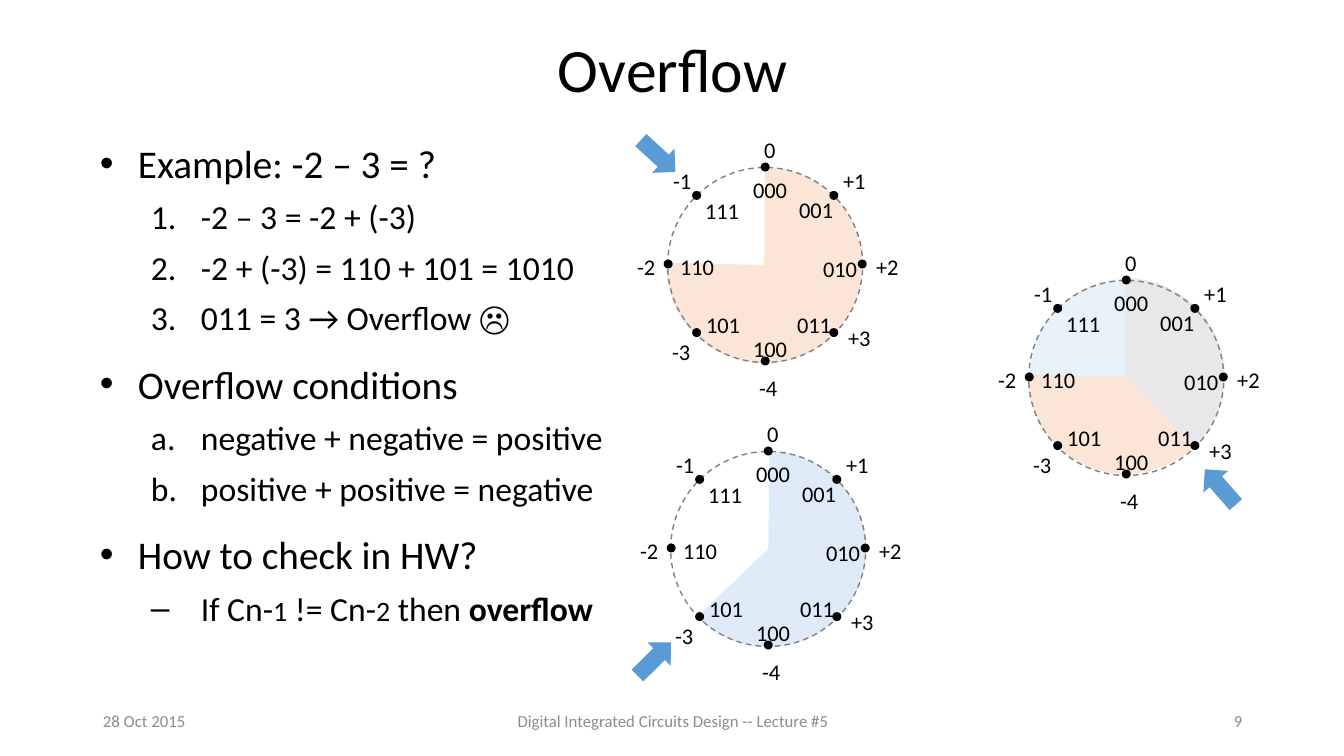
import math
from lxml import etree
from pptx import Presentation
from pptx.dml.color import RGBColor
from pptx.enum.dml import MSO_LINE
from pptx.enum.shapes import MSO_SHAPE
from pptx.enum.text import MSO_ANCHOR, MSO_AUTO_SIZE, PP_ALIGN
from pptx.oxml.ns import qn
from pptx.util import Emu, Inches, Pt

PIE, OVAL, ARROW = MSO_SHAPE.PIE, MSO_SHAPE.OVAL, MSO_SHAPE.DOWN_ARROW
DASH = MSO_LINE.DASH
MIDDLE = MSO_ANCHOR.MIDDLE
GROW, FIXED = MSO_AUTO_SIZE.SHAPE_TO_FIT_TEXT, MSO_AUTO_SIZE.NONE
LEFT, CENTER, RIGHT = PP_ALIGN.LEFT, PP_ALIGN.CENTER, PP_ALIGN.RIGHT

BLACK = RGBColor(0, 0, 0)
GRAY = RGBColor(0x8C, 0x8C, 0x8C)
RIM = RGBColor(0x80, 0x80, 0x80)
PEACH = RGBColor(0xFB, 0xE5, 0xD6)
SKY = RGBColor(0xDE, 0xEB, 0xF7)
BLUE = RGBColor(0x5B, 0x9B, 0xD5)

FONT = "Calibri"
SCALE = 914400 / 100.8
RADIUS = 97
RING, SLICE, DOT = 195, 196, 9

CODES = [
    ("000", -22, -93), ("001", 24, -73), ("010", 48, -14), ("011", 22, 42),
    ("100", -22, 66), ("101", -69, 42), ("110", -95, -16), ("111", -70, -72),
]
VALUES = [
    ("0", -11, -133), ("+1", 68, -102), ("+2", 101, -16), ("+3", 73, 55),
    ("-4", -16, 105), ("-3", -103, 69), ("-2", -138, -16), ("-1", -102, -102),
]
WIDTHS = {"0": 32, "+": 43, "-": 38}

WHEELS = [
    (765, 264, [(-1, 1, 270.5, 181.3, PEACH, None)]),
    (768, 548, [(0, 1, 270.8, 136.3, SKY, None)]),
    (1126, 377, [(-1, -1, 270.5, 180.8, PEACH, None),
                 (1, 0, 180.8, 46.3, SKY, 65)]),
]
ARROWS = [(658, 156, 312.5), (654, 659, 225.2), (1220, 487, 138.8)]

TOP, NUMBER, LETTER, HYPHEN = "•", "arabicPeriod", "alphaLcPeriod", "‒"
BODY = [
    (TOP, [("Example: -2 – 3 = ?", 28, False)]),
    (NUMBER, [("-2 – 3 = -2 + (-3)", 24, False)]),
    (NUMBER, [("-2 + (-3) = 110 + 101 = 1010", 24, False)]),
    (NUMBER, [("011 = 3 → Overflow ☹", 24, False)]),
    (TOP, [("Overflow conditions", 28, False)]),
    (LETTER, [("negative + negative = positive", 24, False)]),
    (LETTER, [("positive + positive = negative", 24, False)]),
    (TOP, [("How to check in HW?", 28, False)]),
    (HYPHEN, [("If Cn-", 24, False), ("1", 20, False), (" != Cn-", 24, False),
              ("2", 20, False), (" then ", 24, False), ("overflow", 24, True)]),
]
FOOTER = [
    ("28 Oct 2015", 93, 302, LEFT),
    ("Digital Integrated Circuits Design -- Lecture #5", 446, 454, CENTER),
    ("9", 950, 302, RIGHT),
]


def px(n):
    return Emu(round(n * SCALE))


def style(font, size, color=BLACK, bold=False):
    font.name = FONT
    font.size = Pt(size)
    font.bold = bold
    font.color.rgb = color


def add_text(slide, text, x, y, w, h, size, color=BLACK, align=LEFT):
    box = slide.shapes.add_textbox(px(x), px(y), px(w), px(h))
    frame = box.text_frame
    frame.text = text
    para = frame.paragraphs[0]
    para.alignment = align
    style(para.runs[0].font, size, color)
    return frame


def add_form(slide, kind, cx, cy, w, h, fill=None):
    form = slide.shapes.add_shape(kind, px(cx - w / 2), px(cy - h / 2), px(w), px(h))
    form.shadow.inherit = False
    form.line.fill.background()
    if fill is None:
        form.fill.background()
    else:
        form.fill.solid()
        form.fill.fore_color.rgb = fill
    return form


def add_slice(slide, cx, cy, start, end, fill, alpha):
    pie = add_form(slide, PIE, cx, cy, SLICE, SLICE, fill)
    pie.adjustments[0] = start * 0.6
    pie.adjustments[1] = end * 0.6
    if alpha is not None:
        tone = pie.fill._xPr.find(".//" + qn("a:srgbClr"))
        etree.SubElement(tone, qn("a:alpha"), val=str(alpha * 1000))


def add_label(slide, text, x, y, w):
    frame = add_text(slide, text, x, y, w, 37, 16)
    frame.word_wrap = False
    frame.auto_size = GROW


def add_wheel(slide, cx, cy, slices):
    for dx, dy, start, end, fill, alpha in slices:
        add_slice(slide, cx + dx, cy + dy, start, end, fill, alpha)
    ring = add_form(slide, OVAL, cx, cy + 1, RING, RING)
    ring.line.color.rgb = RIM
    ring.line.width = Pt(1)
    ring.line.dash_style = DASH
    for step in range(8):
        turn = step * math.pi / 4
        add_form(slide, OVAL, cx + RADIUS * math.sin(turn),
                 cy - RADIUS * math.cos(turn), DOT, DOT, BLACK)
    for text, dx, dy in CODES:
        add_label(slide, text, cx + dx, cy + dy, 54)
    for text, dx, dy in VALUES:
        add_label(slide, text, cx + dx, cy + dy, WIDTHS[text[0]])


def add_bullet(para, mark):
    props = para._p.get_or_add_pPr()
    margin, hang = (38, 38) if mark == TOP else (101, 50)
    props.set("marL", str(px(margin)))
    props.set("indent", str(-px(hang)))
    if mark in (NUMBER, LETTER):
        etree.SubElement(props, qn("a:buFont"), typeface="+mj-lt")
        etree.SubElement(props, qn("a:buAutoNum"), type=mark)
    else:
        etree.SubElement(props, qn("a:buFont"), typeface="Arial")
        etree.SubElement(props, qn("a:buChar"), char=mark)


def add_body(slide):
    frame = slide.shapes.add_textbox(px(90), px(134), px(539), px(566)).text_frame
    frame.word_wrap = True
    for i, (mark, parts) in enumerate(BODY):
        para = frame.add_paragraph() if i else frame.paragraphs[0]
        para.level = 0 if mark == TOP else 1
        para.line_spacing = 1.0
        para.space_before = Pt(16.2 if mark == TOP else 7.2)
        add_bullet(para, mark)
        for text, size, bold in parts:
            run = para.add_run()
            run.text = text
            style(run.font, size, bold=bold)


def set_title(slide):
    title = slide.shapes.title
    title.left, title.top, title.width, title.height = px(93), px(0), px(1159), px(146)
    frame = title.text_frame
    frame.text = "Overflow"
    frame.vertical_anchor = MIDDLE
    frame.auto_size = FIXED
    para = frame.paragraphs[0]
    para.alignment = CENTER
    para.line_spacing = 0.9
    style(para.runs[0].font, 44)


def main():
    deck = Presentation()
    deck.slide_width, deck.slide_height = Inches(13.33), Inches(7.5)
    slide = deck.slides.add_slide(deck.slide_layouts[5])
    set_title(slide)
    add_body(slide)
    for text, x, w, align in FOOTER:
        frame = add_text(slide, text, x, 701, w, 40, 12, GRAY, align)
        frame.word_wrap = True
        frame.vertical_anchor = MIDDLE
    for cx, cy, slices in WHEELS:
        add_wheel(slide, cx, cy, slices)
    for cx, cy, turn in ARROWS:
        add_form(slide, ARROW, cx, cy, 33, 47, BLUE).rotation = turn
    deck.save("out.pptx")


main()
